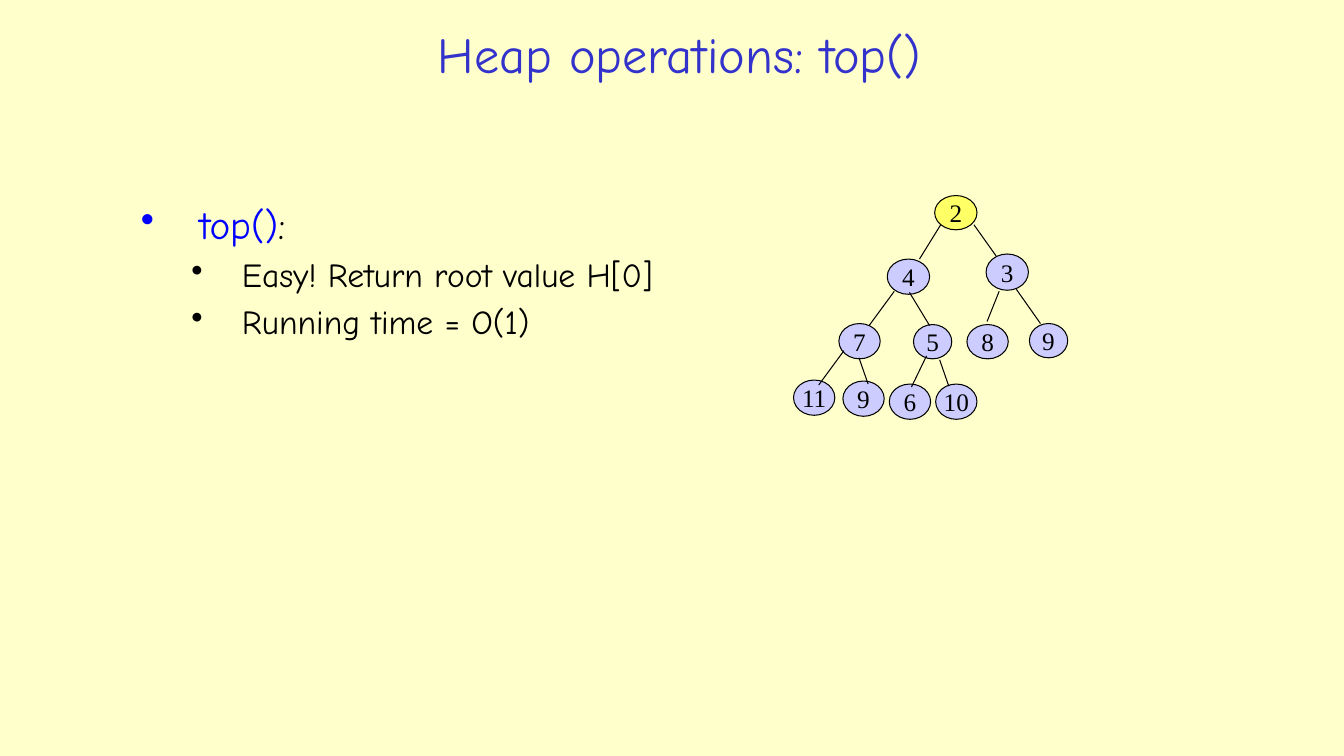
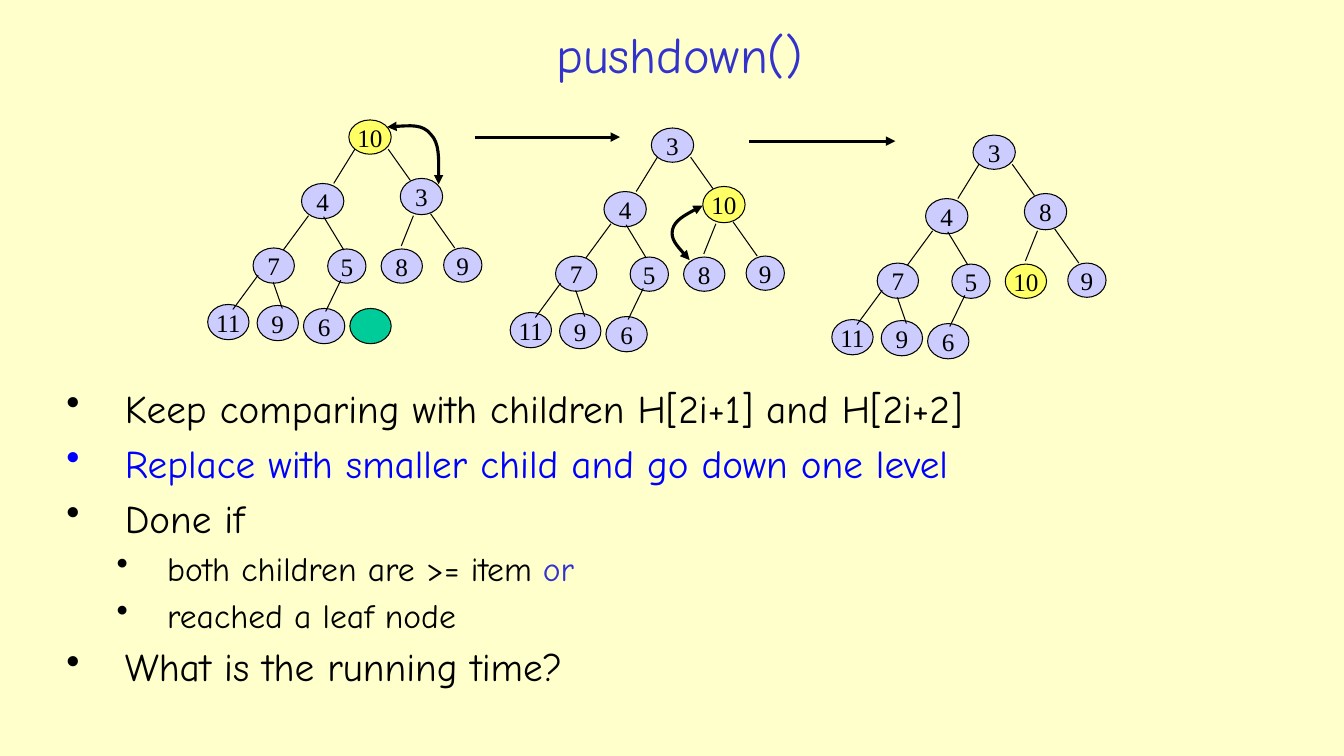
"""Build two slides on heap operations with trees drawn on a tenth-inch grid."""
from dataclasses import dataclass
from typing import Any, NamedTuple

from pptx import Presentation
from pptx.dml.color import RGBColor
from pptx.enum.shapes import MSO_CONNECTOR, MSO_SHAPE
from pptx.enum.text import MSO_ANCHOR, PP_ALIGN
from pptx.oxml.ns import qn
from pptx.oxml.xmlchemy import OxmlElement
from pptx.util import Emu, Inches, Pt

CELL = Inches(0.1)
COLS, ROWS = 133.3, 75
CREAM, BLACK, BLUE, INDIGO = "FFFFCC", "000000", "0000FF", "3333CC"
LILAC, YELLOW, GREEN = "CCCCFF", "FFFF66", "00CC99"
TITLE_FONT = {"name": "Comic Neue", "size": Pt(36)}
LEVEL_FONTS = (
    {"name": "Comic Neue", "size": Pt(28)},
    {"name": "Comic Neue", "size": Pt(24)},
)
NODE_FONT = {"name": "Times New Roman", "size": Pt(18)}
NODE_FRAME = {
    "word_wrap": False,
    "vertical_anchor": MSO_ANCHOR.MIDDLE,
    "margin_left": 0,
    "margin_right": 0,
    "margin_top": 0,
    "margin_bottom": 0,
}
INDENTS = ((5.8, -5.8), (10, -5))
THIN, THICK = 0.75, 2.25

Point = tuple[float, float]


class Place(NamedTuple):
    """Position and size of one heap slot, in cells from the root's corner."""
    col: float
    row: float
    width: float
    height: float


class Edge(NamedTuple):
    """Ends of the line from a parent to a child, in the same cells."""
    start: Point
    end: Point


class Item(NamedTuple):
    """One bullet made of (text, colour) runs."""
    level: int
    runs: list[tuple[str, str]]


@dataclass
class Tree:
    """A heap with its root position, values and marked slot."""
    col: float
    row: float
    values: list[int]
    marked: int
    vacant: int | None = None


SLOTS = [
    Place(0, 0, 4.2, 3.4),
    Place(-4.7, 6.3, 4.2, 3.5),
    Place(5.1, 5.8, 4.2, 3.6),
    Place(-9.5, 12.7, 4.1, 3.5),
    Place(-2.1, 12.8, 3.8, 3.4),
    Place(3.2, 12.8, 4.1, 3.4),
    Place(9.4, 12.7, 3.8, 3.4),
    Place(-14, 18.3, 4.1, 3.5),
    Place(-9.1, 18.4, 4.1, 3.5),
    Place(-4.5, 18.7, 4.1, 3.5),
    Place(0.1, 18.7, 4.1, 3.5),
]
EDGES = [
    Edge((0.6, 2.9), (-1.5, 6.3)),
    Edge((3.9, 2.9), (6.1, 6)),
    Edge((-4, 9.5), (-6.5, 12.9)),
    Edge((-2.5, 9.6), (-0.5, 12.9)),
    Edge((6.4, 9.5), (5.2, 12.5)),
    Edge((8.1, 9.3), (10.5, 12.7)),
    Edge((-9, 15.4), (-11.5, 18.8)),
    Edge((-7.5, 16.1), (-6.6, 18.7)),
    Edge((-0.8, 15.9), (-2.3, 19)),
    Edge((0.5, 16.3), (1.4, 18.9)),
]

TOP_TREE = Tree(92.7, 19.4, [2, 4, 3, 7, 5, 8, 9, 11, 9, 6, 10], 0)
PUSH_TREES = [
    Tree(34.6, 11.9, [10, 4, 3, 7, 5, 8, 9, 11, 9, 6], 0, vacant=10),
    Tree(64.6, 12.7, [3, 4, 10, 7, 5, 8, 9, 11, 9, 6], 2),
    Tree(96.5, 13.4, [3, 4, 8, 7, 5, 10, 9, 11, 9, 6], 5),
]
SWAPS = [
    [(38.4, 12.6), (40.1, 12.5), (41.9, 12.3), (42.7, 13.3),
     (43.6, 14.2), (43.5, 16.3), (43.5, 18.3)],
    [(69.7, 20.4), (68.3, 21.1), (66.9, 21.9), (66.7, 22.8),
     (66.5, 23.7), (67.4, 24.7), (68.4, 25.8)],
]
STEPS = [Edge((47.1, 13.6), (61.5, 13.6)), Edge((74.3, 14), (88.8, 14))]
TOP_ITEMS = [
    Item(0, [("top()", BLUE), (":", BLACK)]),
    Item(1, [("Easy! Return root value H[0]", BLACK)]),
    Item(1, [("Running time = O(1)", BLACK)]),
]
PUSH_ITEMS = [
    Item(0, [("Keep comparing with children H[2i+1] and H[2i+2]", BLACK)]),
    Item(0, [("Replace with smaller child and go down one level", BLUE)]),
    Item(0, [("Done if", BLACK)]),
    Item(1, [("both children are >= item ", BLACK), ("or", INDIGO)]),
    Item(1, [("reached a leaf node", BLACK)]),
    Item(0, [("What is the running time?", BLACK)]),
]


def cells(*lengths: float) -> list[Emu]:
    """Turn grid cells into lengths."""
    return [Emu(round(length * CELL)) for length in lengths]


def rgb(color: str) -> RGBColor:
    """Turn a hex string into a colour."""
    return RGBColor.from_string(color)


def apply(target: Any, values: dict[str, Any]) -> None:
    """Set each attribute named in a dict of format values."""
    for name, value in values.items():
        setattr(target, name, value)


def add_xml(parent: Any, tag: str, **attributes: str) -> Any:
    """Append a child element with attributes and return it."""
    child = OxmlElement(tag)
    for name, value in attributes.items():
        child.set(name, value)
    parent.append(child)
    return child


def add_run(p: Any, text: str, font: dict[str, Any], color: str) -> None:
    """Append a formatted run to a paragraph."""
    r = p.add_run()
    r.text = text
    apply(r.font, font)
    r.font.color.rgb = rgb(color)


def set_line(sp: Any, width: float, *ends: str) -> None:
    """Give a shape a black outline with optional arrowheads."""
    sp.line.color.rgb = rgb(BLACK)
    sp.line.width = Pt(width)
    ln = sp.element.spPr.find(qn("a:ln"))
    for end in ends:
        add_xml(ln, end, type="triangle")


def add_line(slide: Any, edge: Edge, width: float, *ends: str) -> None:
    """Draw a straight connector."""
    sp = slide.shapes.add_connector(
        MSO_CONNECTOR.STRAIGHT, *cells(*edge.start, *edge.end))
    set_line(sp, width, *ends)
    add_xml(sp.element.spPr, "a:effectLst")


def add_swap(slide: Any, points: list[Point]) -> None:
    """Draw a double-headed curve through cubic control points."""
    builder = slide.shapes.build_freeform(*cells(*points[0]))
    builder.add_line_segments([cells(*pt) for pt in points[1:]], close=False)
    sp = builder.convert_to_shape()
    sp.shadow.inherit = False
    sp.fill.background()
    outline = sp.element.spPr.find(".//" + qn("a:path"))
    segments = outline.findall(qn("a:lnTo"))
    for first in range(0, len(segments), 3):
        curve = add_xml(outline, "a:cubicBezTo")
        for segment in segments[first:first + 3]:
            curve.append(segment[0])
            outline.remove(segment)
    set_line(sp, THICK, "a:headEnd", "a:tailEnd")


def add_node(slide: Any, tree: Tree, slot: int, color: str, label: str = "") -> None:
    """Draw the ellipse of one heap slot."""
    place = SLOTS[slot]
    sp = slide.shapes.add_shape(MSO_SHAPE.OVAL, *cells(
        tree.col + place.col, tree.row + place.row, place.width, place.height))
    sp.shadow.inherit = False
    sp.fill.solid()
    sp.fill.fore_color.rgb = rgb(color)
    set_line(sp, THIN)
    if label:
        tf = sp.text_frame
        apply(tf, NODE_FRAME)
        p = tf.paragraphs[0]
        p.alignment = PP_ALIGN.CENTER
        add_run(p, label, NODE_FONT, BLACK)


def add_tree(slide: Any, tree: Tree) -> None:
    """Draw the nodes of a heap and the edges over them."""
    for slot, value in enumerate(tree.values):
        color = YELLOW if slot == tree.marked else LILAC
        add_node(slide, tree, slot, color, str(value))
    if tree.vacant is not None:
        add_node(slide, tree, tree.vacant, GREEN)
    for edge in EDGES[:len(tree.values) - 1]:
        start, end = [(tree.col + x, tree.row + y) for x, y in edge]
        add_line(slide, Edge(start, end), THIN)


def add_bullets(slide: Any, place: Place, items: list[Item]) -> None:
    """Write a bulleted list on two levels."""
    tf = slide.shapes.add_textbox(*cells(*place)).text_frame
    tf.word_wrap = True
    for index, item in enumerate(items):
        p = tf.add_paragraph() if index else tf.paragraphs[0]
        p.level = item.level
        pPr = p._p.get_or_add_pPr()
        margin, indent = cells(*INDENTS[item.level])
        pPr.set("marL", str(margin))
        pPr.set("indent", str(indent))
        add_xml(add_xml(pPr, "a:spcBef"), "a:spcPct", val="20000")
        add_xml(pPr, "a:buChar", char="•")
        for text, color in item.runs:
            add_run(p, text, LEVEL_FONTS[item.level], color)


def add_slide(prs: Any, title: str) -> Any:
    """Add a title-only slide with the shared title style."""
    slide = prs.slides.add_slide(prs.slide_layouts[5])
    sp = slide.shapes.title
    left, top, width, height = cells(19.7, 1.5, 95.4, 7.6)
    apply(sp, {"left": left, "top": top, "width": width, "height": height})
    tf = sp.text_frame
    tf.vertical_anchor = MSO_ANCHOR.MIDDLE
    p = tf.paragraphs[0]
    p.alignment = PP_ALIGN.CENTER
    add_run(p, title, TITLE_FONT, INDIGO)
    return slide


def main() -> None:
    """Build and save the presentation."""
    prs = Presentation()
    prs.slide_width, prs.slide_height = cells(COLS, ROWS)
    fill = prs.slide_master.background.fill
    fill.solid()
    fill.fore_color.rgb = rgb(CREAM)

    slide = add_slide(prs, "Heap operations: top()")
    add_bullets(slide, Place(13, 19.4, 60.8, 16.9), TOP_ITEMS)
    add_tree(slide, TOP_TREE)

    slide = add_slide(prs, "pushdown()")
    for tree in PUSH_TREES:
        add_tree(slide, tree)
    for points in SWAPS:
        add_swap(slide, points)
    for step in STEPS:
        add_line(slide, step, THICK, "a:tailEnd")
    add_bullets(slide, Place(5.6, 37.6, 122.7, 33.2), PUSH_ITEMS)
    prs.save("out.pptx")


if __name__ == "__main__":
    main()
